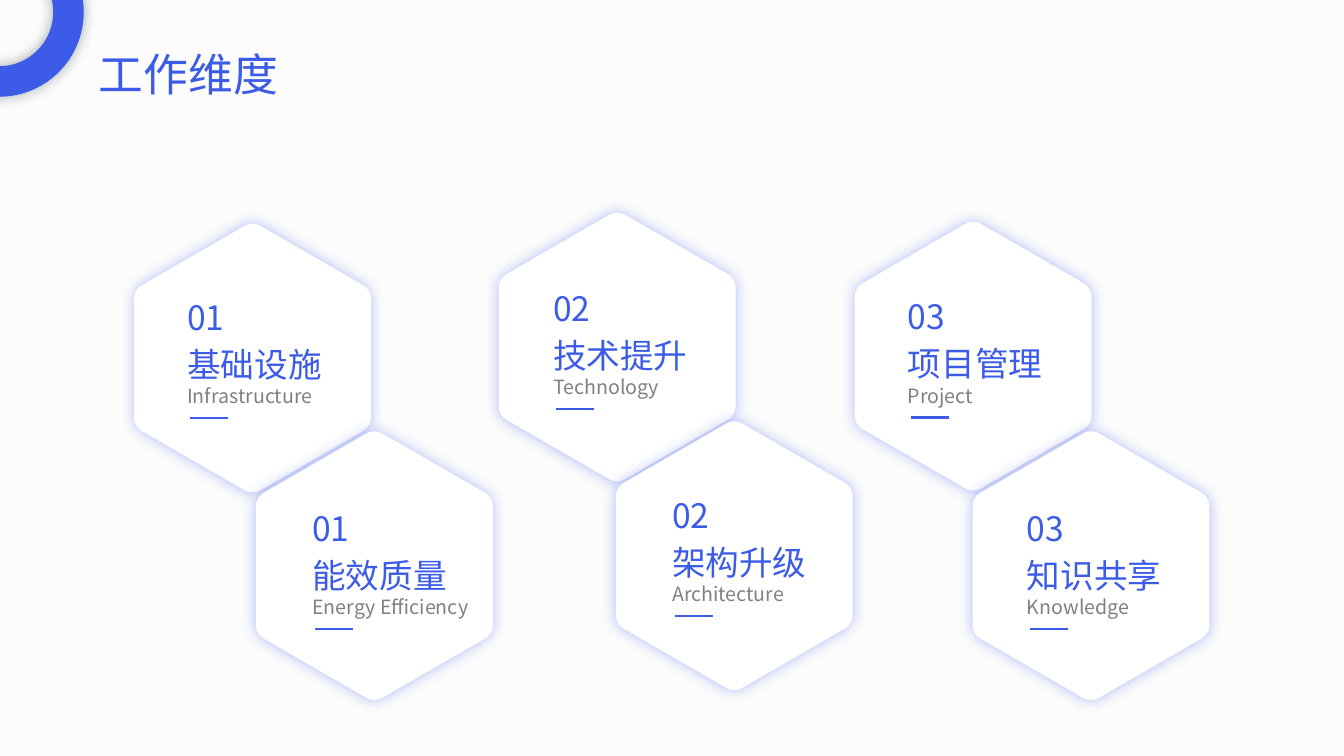
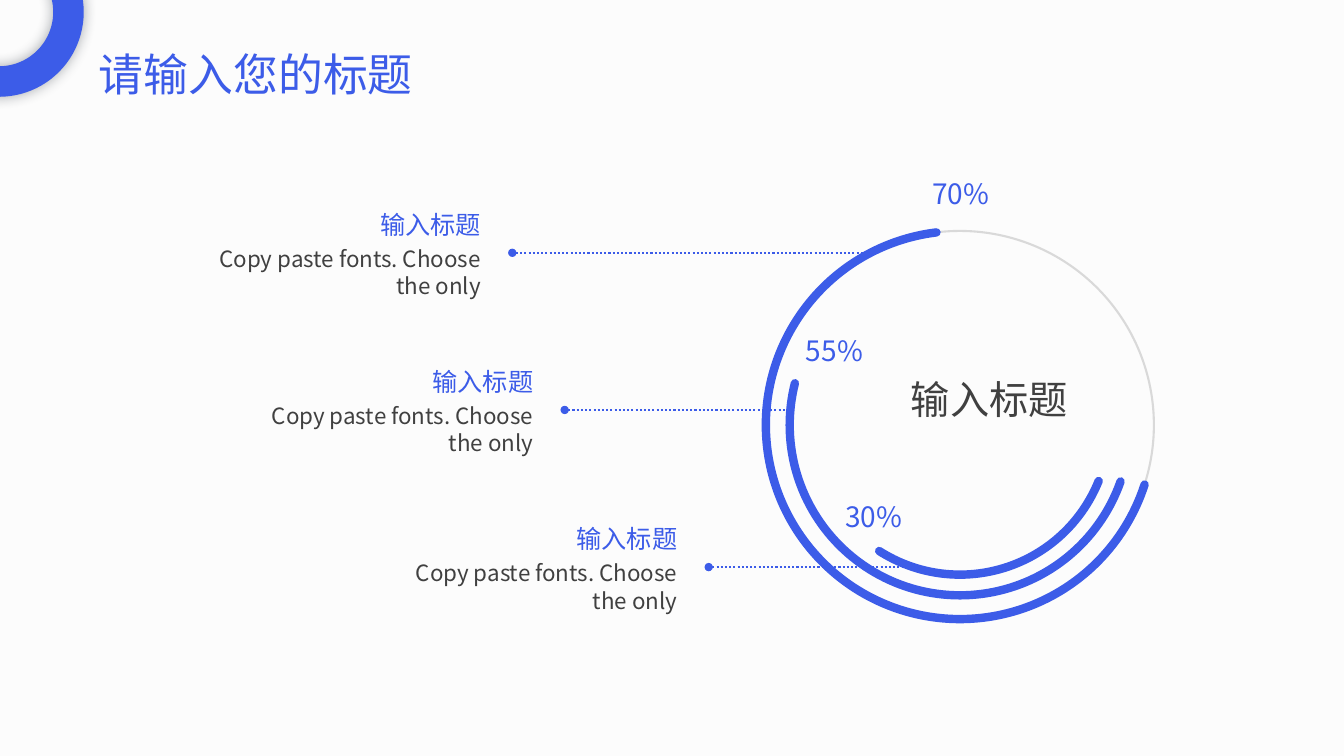
from dataclasses import dataclass
from math import cos, radians, sin, sqrt

from lxml.etree import SubElement
from pptx import Presentation
from pptx.dml.color import RGBColor
from pptx.enum.dml import MSO_LINE
from pptx.enum.shapes import MSO_CONNECTOR as Connector, MSO_SHAPE as Preset
from pptx.enum.text import MSO_ANCHOR as Anchor, MSO_AUTO_SIZE as AutoSize, PP_ALIGN as Align
from pptx.oxml.ns import qn
from pptx.util import Cm, Pt


@dataclass(frozen=True)
class Theme:
    font: str = "Noto Sans CJK SC"
    blue: str = "3C5CE8"
    white: str = "FFFFFF"
    paper: str = "FCFCFC"
    grey: str = "808080"
    dark: str = "404040"
    track: str = "D9D9D9"
    shade: str = "222A35"
    title: int = 32
    center: int = 28
    heading: int = 24
    percent: int = 20
    label: int = 18
    body: int = 16
    caption: int = 14
    leading: float = 1.22
    hairline: float = 1.5
    stroke: float = 6


THEME = Theme()
HEX_WIDTH = 5.97
HEX_RADIUS = HEX_WIDTH / sqrt(3)
HEX_CORNER = 0.41

DIMENSIONS = [
    ((3.38, 5.64), (1.09, 1.70), "01", "基础设施", "Infrastructure"),
    ((6.45, 10.87), (1.17, 1.78), "01", "能效质量", "Energy Efficiency"),
    ((12.57, 5.36), (1.12, 1.75), "02", "技术提升", "Technology"),
    ((21.54, 5.59), (1.09, 1.73), "03", "项目管理", "Project"),
    ((15.52, 10.62), (1.17, 1.70), "02", "架构升级", "Architecture"),
    ((24.51, 10.87), (1.12, 1.78), "03", "知识共享", "Knowledge"),
]
CALLOUTS = [(4.78, 22.02), (6.10, 19.91), (9.73, 23.01)]
CALLOUT_TOP, CALLOUT_STEP = 5.13, 3.96
RINGS = [
    (9.78, 197.85, 83.08, "70%", 3.92, -1.5),
    (8.58, 199.33, 14.22, "55%", 0.74, 2.44),
    (7.54, 201.96, 302.66, "30%", 1.73, 6.63),
]


def lengths(*values):
    return [Cm(value) for value in values]


def rgb(color):
    return RGBColor.from_string(color)


def write(frame, text, size, color, align=Align.LEFT, wrap=True):
    frame.word_wrap = wrap
    frame.auto_size = AutoSize.NONE
    frame.vertical_anchor = Anchor.TOP
    paragraph = frame.paragraphs[0]
    paragraph.alignment = align
    paragraph.line_spacing = Pt(round(size * THEME.leading, 1))
    run = paragraph.add_run()
    run.text = text
    run.font.size = Pt(size)
    run.font.color.rgb = rgb(color)
    run.font.name = THEME.font
    SubElement(run.font._element, qn("a:ea"), typeface=THEME.font)


def add_text(slide, box, text, size, color, align=Align.LEFT, wrap=True):
    frame = slide.shapes.add_textbox(*lengths(*box)).text_frame
    write(frame, text, size, color, align, wrap)


def add_glow(shape, color):
    shape.shadow.inherit = False
    effects = shape._element.spPr.find(qn("a:effectLst"))
    glow = SubElement(effects, qn("a:outerShdw"), blurRad=str(Pt(10)), dist="0",
                      dir="0", algn="ctr", rotWithShape="0")
    tint = SubElement(glow, qn("a:srgbClr"), val=color)
    SubElement(tint, qn("a:alpha"), val="40000")


def fill_plain(shape, color):
    shape.fill.solid()
    shape.fill.fore_color.rgb = rgb(color)
    shape.line.fill.background()


def add_rule(slide, left, right, y):
    rule = slide.shapes.add_connector(Connector.STRAIGHT, *lengths(left, y, right, y))
    rule.line.color.rgb = rgb(THEME.blue)
    rule.line.width = Pt(THEME.hairline)
    SubElement(rule._element.spPr, qn("a:effectLst"))
    return rule


def add_outline(slide, preset, center, diameter, color, width):
    left, top = (middle - diameter / 2 for middle in center)
    outline = slide.shapes.add_shape(preset, *lengths(left, top, diameter, diameter))
    outline.shadow.inherit = False
    outline.fill.background()
    outline.line.color.rgb = rgb(color)
    outline.line.width = Pt(width)
    return outline


def prepare_layout(deck):
    layout = deck.slide_layouts[5]
    layout.background.fill.solid()
    layout.background.fill.fore_color.rgb = rgb(THEME.paper)
    heading = layout.placeholders[0]
    heading.left, heading.top, heading.width, heading.height = lengths(2.24, 1.02, 11.73, 1.63)
    return layout


def add_titled_slide(deck, layout, title):
    slide = deck.slides.add_slide(layout)
    write(slide.shapes.title.text_frame, title, THEME.title, THEME.blue)
    corner = slide.shapes.add_shape(Preset.DONUT, *lengths(-2.16, -1.83, 4.27, 4.27))
    corner.adjustments[0] = 0.18
    fill_plain(corner, THEME.blue)
    add_glow(corner, THEME.shade)
    return slide


def add_hexagon(slide, left, top):
    middle_x = left + HEX_WIDTH / 2
    reach = HEX_RADIUS - 2 * HEX_CORNER / sqrt(3)
    middle_y = top + reach + HEX_CORNER
    points = []
    for corner in range(30, 390, 60):
        for turn in range(-30, 31, 10):
            angle, bend = radians(corner), radians(corner + turn)
            points.append((Cm(middle_x + reach * cos(angle) + HEX_CORNER * cos(bend)),
                           Cm(middle_y + reach * sin(angle) + HEX_CORNER * sin(bend))))
    builder = slide.shapes.build_freeform(*points[0])
    builder.add_line_segments(points[1:], close=True)
    hexagon = builder.convert_to_shape()
    fill_plain(hexagon, THEME.white)
    add_glow(hexagon, THEME.blue)


def add_dimension(slide, corner, inset, number, name, english):
    add_hexagon(slide, *corner)
    left, top = (start + shift for start, shift in zip(corner, inset))
    lines = [
        (english, 2.21, THEME.caption, THEME.grey),
        (name, 1.19, THEME.heading, THEME.blue),
        (number, 0, THEME.heading, THEME.blue),
    ]
    for text, drop, size, color in lines:
        add_text(slide, (left, top + drop, 4.95, 1.27), text, size, color)
    add_rule(slide, left + 0.33, left + 1.28, top + 3.2)


def add_callout(slide, left, top, line_end):
    leader = add_rule(slide, left + 8.13, line_end, top + 1.24)
    leader.line.dash_style = MSO_LINE.ROUND_DOT
    SubElement(leader.line._get_or_add_ln(), qn("a:headEnd"), type="oval")
    add_text(slide, (left, top, 7.59, 1.02), "输入标题",
             THEME.label, THEME.blue, Align.RIGHT)
    add_text(slide, (left, top + 0.91, 7.59, 1.63), "Copy paste fonts. Choose the only",
             THEME.body, THEME.dark, Align.RIGHT)


def add_ring_gauge(slide, left, top, size):
    center = (left + size / 2, top + size / 2)
    add_outline(slide, Preset.OVAL, center, size, THEME.track, THEME.hairline)
    for diameter, start, end, percent, shift, drop in RINGS:
        arc = add_outline(slide, Preset.ARC, center, diameter, THEME.blue, THEME.stroke)
        arc.rotation = 180
        arc.adjustments[0], arc.adjustments[1] = start * 0.6, end * 0.6
        arc.line._get_or_add_ln().set("cap", "rnd")
        add_text(slide, (left + shift, top + drop, 1.98, 1.12), percent,
                 THEME.percent, THEME.blue, Align.CENTER, wrap=False)
    add_text(slide, (left + 3.38, top + 3.48, 4.5, 1.45), "输入标题",
             THEME.center, THEME.dark, Align.CENTER, wrap=False)


def build_dimensions(deck, layout):
    slide = add_titled_slide(deck, layout, "工作维度")
    for dimension in DIMENSIONS:
        add_dimension(slide, *dimension)


def build_gauge(deck, layout):
    slide = add_titled_slide(deck, layout, "请输入您的标题")
    for row, (left, line_end) in enumerate(CALLOUTS):
        add_callout(slide, left, CALLOUT_TOP + row * CALLOUT_STEP, line_end)
    add_ring_gauge(slide, 19.3, 5.82, 9.78)


def main():
    deck = Presentation()
    deck.slide_width, deck.slide_height = lengths(33.87, 19.05)
    layout = prepare_layout(deck)
    build_dimensions(deck, layout)
    build_gauge(deck, layout)
    deck.save("out.pptx")


if __name__ == "__main__":
    main()
